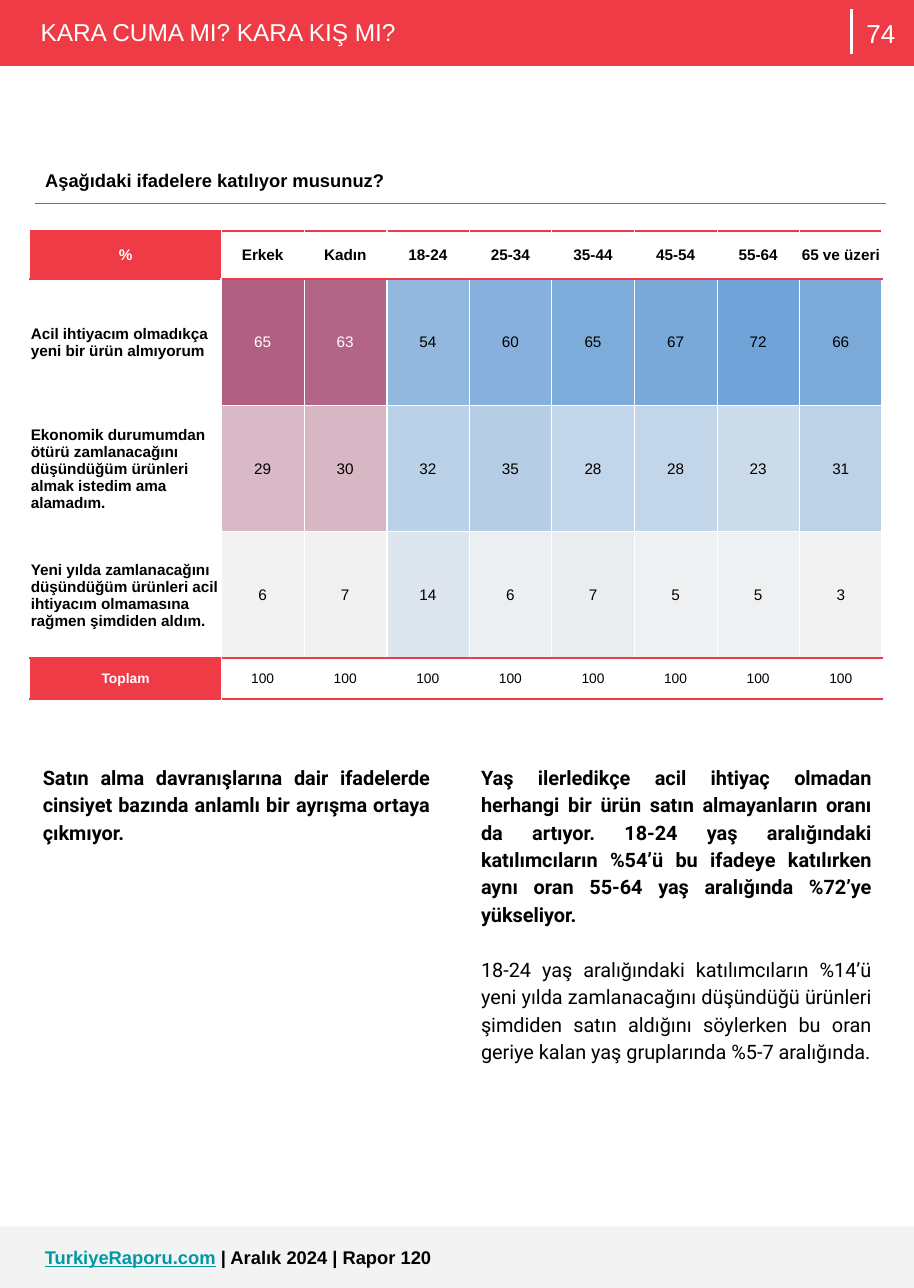
from pptx import Presentation
from pptx.dml.color import RGBColor
from pptx.enum.shapes import MSO_CONNECTOR, MSO_SHAPE
from pptx.enum.text import MSO_ANCHOR, PP_ALIGN
from pptx.oxml.ns import qn
from pptx.util import Emu, Pt
from lxml.etree import SubElement

COLORS = {"red": "EF3B45", "white": "FFFFFF", "black": "000000", "pale": "F3F3F3",
          "teal": "0097A7", "low": "F2F2F2", "plum": "B16083", "blue": "70A3D7"}
GROUPS = ["Erkek", "Kadın", "18-24", "25-34", "35-44", "45-54", "55-64", "65 ve üzeri"]
ANSWERS = [
    ("Acil ihtiyacım olmadıkça yeni bir ürün almıyorum",
     [65, 63, 54, 60, 65, 67, 72, 66]),
    ("Ekonomik durumumdan ötürü zamlanacağını düşündüğüm ürünleri almak istedim ama alamadım.",
     [29, 30, 32, 35, 28, 28, 23, 31]),
    ("Yeni yılda zamlanacağını düşündüğüm ürünleri acil ihtiyacım olmamasına rağmen "
     "şimdiden aldım.", [6, 7, 14, 6, 7, 5, 5, 3]),
]
GENDER_FINDING = ("Satın alma davranışlarına dair ifadelerde cinsiyet bazında anlamlı bir "
                  "ayrışma ortaya çıkmıyor.")
AGE_FINDING = ("Yaş ilerledikçe acil ihtiyaç olmadan herhangi bir ürün satın almayanların oranı "
               "da artıyor. 18-24 yaş aralığındaki katılımcıların %54’ü bu ifadeye katılırken "
               "aynı oran 55-64 yaş aralığında %72’ye yükseliyor.")
AGE_DETAIL = ("18-24 yaş aralığındaki katılımcıların %14’ü yeni yılda zamlanacağını düşündüğü "
              "ürünleri şimdiden satın aldığını söylerken bu oran geriye kalan yaş gruplarında "
              "%5-7 aralığında.")


def px(length):
    """Turn px, at 100 to the inch, into EMU."""
    return Emu(length * 9144)


def shade(value, lowest, highest, top_color):
    """Blend from the low colour to the top colour by value."""
    share = (value - lowest) / (highest - lowest)
    pairs = zip(bytes.fromhex(COLORS["low"]), bytes.fromhex(COLORS[top_color]))
    return "".join(f"{round(low + (top - low) * share):02X}" for low, top in pairs)


class ReportPage:
    """Holds the style and the current slide."""

    def __init__(self, deck, font="Arial"):
        """Add a blank page to the deck."""
        self.font = font
        self.page = deck.slides.add_slide(deck.slide_layouts[6])

    def style(self, span, size, color="black", bold=False, font=None):
        """Format one run."""
        span.font.name = font or self.font
        span.font.size = Pt(size)
        span.font.bold = bold
        span.font.color.rgb = RGBColor.from_string(COLORS[color])

    def band(self, top, height, color):
        """Draw a band across the whole page."""
        box = self.page.shapes.add_shape(MSO_SHAPE.RECTANGLE, 0, px(top), px(830), px(height))
        box.shadow.inherit = False
        box.fill.solid()
        box.fill.fore_color.rgb = RGBColor.from_string(COLORS[color])
        box.line.fill.background()

    def text(self, left, top, width, height, anchor=MSO_ANCHOR.TOP):
        """Add a wrapping text box and return its frame."""
        frame = self.page.shapes.add_textbox(px(left), px(top), px(width), px(height)).text_frame
        frame.word_wrap = True
        frame.vertical_anchor = anchor
        frame.margin_left = frame.margin_top = frame.margin_right = frame.margin_bottom = px(10)
        return frame

    def label(self, frame, text, size, color, align=PP_ALIGN.LEFT):
        """Fill a frame with one line of text."""
        frame.text = text
        para = frame.paragraphs[0]
        para.alignment = align
        self.style(para.runs[0], size, color)

    def spans(self, frame, parts, size):
        """Fill a frame with bold runs of text, colour and underline."""
        for text, color, underline in parts:
            span = frame.paragraphs[0].add_run()
            span.text = text
            self.style(span, size, color, True)
            span.font.underline = underline

    def findings(self, left, width, height, parts):
        """Add justified paragraphs given as text and weight."""
        frame = self.text(left, 682, width, height)
        for index, (text, bold) in enumerate(parts):
            para = frame.add_paragraph() if index else frame.paragraphs[0]
            para.text = text
            para.alignment = PP_ALIGN.JUSTIFY
            para.line_spacing = 1.15
            if index:
                para.space_before = Pt(18)
            self.style(para.runs[0], 13, "black", bold, "Roboto")

    def line(self, left, top, right, bottom, color, width):
        """Draw a straight line."""
        rule = self.page.shapes.add_connector(
            MSO_CONNECTOR.STRAIGHT, px(left), px(top), px(right), px(bottom))
        rule.line.color.rgb = RGBColor.from_string(COLORS[color])
        rule.line.width = Pt(width)
        SubElement(rule._element.spPr, qn("a:effectLst"))

    def table(self, left, top, columns, rows):
        """Add a plain table and return it."""
        frame = self.page.shapes.add_table(
            len(rows), len(columns), px(left), px(top), px(sum(columns)), px(sum(rows)))
        grid = frame.table
        grid.first_row = grid.horz_banding = False
        for column, width in zip(grid.columns, columns):
            column.width = px(width)
        for row, height in zip(grid.rows, rows):
            row.height = px(height)
        return grid

    def cell(self, cell, text, size, color, bold, fill, borders, margins,
             align=PP_ALIGN.CENTER, anchor=MSO_ANCHOR.MIDDLE):
        """Fill one cell; borders run left, right, top, bottom."""
        cell.text = text
        cell.vertical_anchor = anchor
        cell.margin_left, cell.margin_right, cell.margin_top, cell.margin_bottom = map(px, margins)
        para = cell.text_frame.paragraphs[0]
        para.alignment = align
        self.style(para.runs[0], size, color, bold)
        properties = cell._tc.get_or_add_tcPr()
        for side, (edge_color, width) in zip("LRTB", borders):
            edge = SubElement(properties, qn(f"a:ln{side}"), w=str(Pt(width)))
            paint = SubElement(edge, qn("a:solidFill"))
            SubElement(paint, qn("a:srgbClr"), val=COLORS[edge_color])
        if fill:
            cell.fill.solid()
            cell.fill.fore_color.rgb = RGBColor.from_string(fill)
        else:
            cell.fill.background()

    def question(self, text):
        """Add the underlined question."""
        grid = self.table(31, 145, [774], [40])
        borders = [("white", 0.75)] * 3 + [("red", 1)]
        self.cell(grid.cell(0, 0), text, 12, "black", True, COLORS["white"], borders,
                  [10] * 4, PP_ALIGN.LEFT, MSO_ANCHOR.TOP)

    def results(self):
        """Add the answers by group, shaded by value."""
        grid = self.table(27, 210, [174] + [75] * 8, [43, 115, 115, 115, 37])
        table_rows = [["%", *GROUPS], *([text, *values] for text, values in ANSWERS),
                      ["Toplam"] + [100] * 8]
        red, thin, thick = ("red", 1.5), ("white", 0.5), ("white", 1.5)
        for row, entries in enumerate(table_rows):
            answer = 1 <= row <= 3
            for column, entry in enumerate(entries):
                label = column == 0
                edges = [thick if edge in (3, 9) or (edge == 1 and answer) else thin
                         for edge in (column, column + 1)]
                if label:
                    edges[0] = ("white", 1)
                edges += [thin if edge in (2, 3) else red for edge in (row, row + 1)]
                fill, color = None, "black"
                if label and not answer:
                    fill, color = COLORS["red"], "white"
                elif answer and not label:
                    scale = (6, 65, "plum") if column < 3 else (3, 72, "blue")
                    fill = shade(entry, *scale)
                    color = "white" if column < 3 and row == 1 else "black"
                self.cell(grid.cell(row, column), str(entry), 9 if row == 4 else 10, color,
                          label or row == 0, fill, edges, (1, 1, 1, 0),
                          PP_ALIGN.LEFT if label and answer else PP_ALIGN.CENTER)


def main():
    """Build the report page."""
    deck = Presentation()
    deck.slide_width, deck.slide_height = px(830), px(1170)
    report = ReportPage(deck)
    report.band(0, 60, "red")
    report.band(1114, 56, "pale")
    report.spans(report.text(31, 1122, 696, 48),
                 [("TurkiyeRaporu.com", "teal", True),
                  (" | Aralık 2024 | Rapor 120", "black", False)], 12)
    report.label(report.text(773, 0, 54, 60, MSO_ANCHOR.MIDDLE), "74", 17, "white",
                 PP_ALIGN.CENTER)
    report.line(773, 8, 773, 49, "white", 2.25)
    report.label(report.text(27, 6, 746, 47), "KARA CUMA MI? KARA KIŞ MI?", 16, "white")
    report.question("Aşağıdaki ifadelere katılıyor musunuz?")
    report.results()
    report.findings(29, 371, 146, [(GENDER_FINDING, True)])
    report.findings(427, 374, 297, [(AGE_FINDING, True), (AGE_DETAIL, False)])
    deck.save("out.pptx")


if __name__ == "__main__":
    main()
